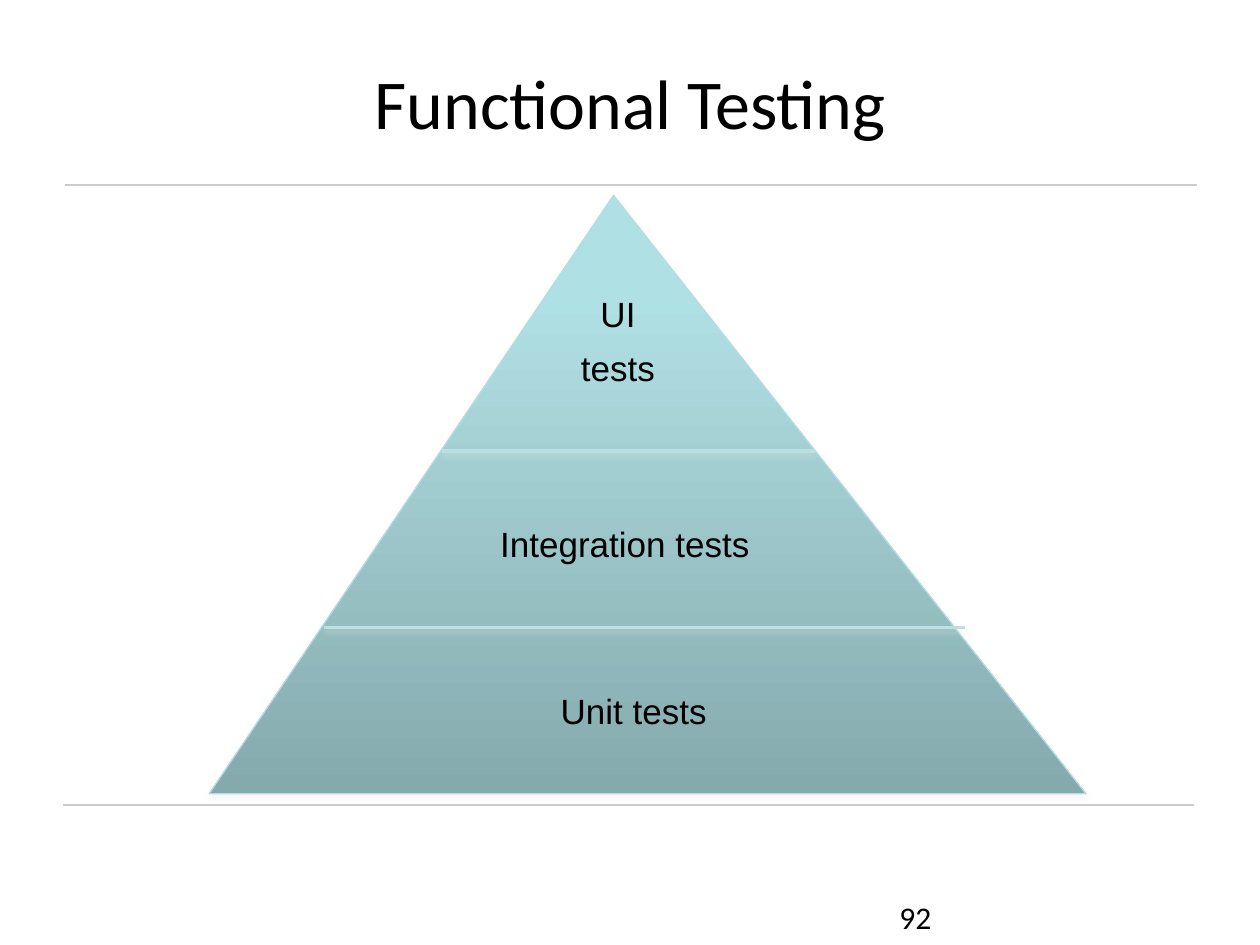
from lxml.etree import SubElement
from pptx import Presentation
from pptx.dml.color import RGBColor
from pptx.enum.shapes import MSO_CONNECTOR as Connector
from pptx.enum.text import MSO_ANCHOR as Anchor, MSO_AUTO_SIZE as AutoSize, PP_ALIGN as Align
from pptx.oxml import parse_xml
from pptx.oxml.ns import nsdecls, qn
from pptx.util import Pt

PX = 9144


def color(hex_string):
    return RGBColor.from_string(hex_string)


def style_outline(shape, line_color, width, shadow_opacity=0):
    shape.line.color.rgb = color(line_color)
    shape.line.width = Pt(width)
    effects = SubElement(shape._element.spPr, qn("a:effectLst"))
    if shadow_opacity:
        effects.append(parse_xml(
            f'<a:outerShdw {nsdecls("a")} blurRad="{Pt(3)}" dist="{Pt(2)}" dir="5400000" rotWithShape="0">'
            f'<a:srgbClr val="EEECE1"><a:alpha val="{shadow_opacity * 1000}"/></a:srgbClr></a:outerShdw>'))


presentation = Presentation()
presentation.slide_width, presentation.slide_height = 1000 * PX, 750 * PX
slide = presentation.slides.add_slide(presentation.slide_layouts[5])
shapes = slide.shapes

for left, right, y in [(50, 948, 639), (52, 950, 147)]:
    rule = shapes.add_connector(Connector.STRAIGHT, left * PX, y * PX, right * PX, y * PX)
    style_outline(rule, "CCCCCC", 1)

title = shapes.title
title_box = {"left": 50, "top": 30, "width": 900, "height": 101}
for name, value in title_box.items():
    setattr(title, name, value * PX)
title.text_frame.text = "Functional Testing"
title.text_frame.vertical_anchor = Anchor.MIDDLE
title_paragraph = title.text_frame.paragraphs[0]
title_paragraph.alignment = Align.CENTER
title_format = {"name": "Calibri", "size": Pt(40)}
for name, value in title_format.items():
    setattr(title_paragraph.font, name, value)
title_paragraph.font.color.rgb = color("000000")

builder = shapes.build_freeform(487, 155, scale=PX)
builder.add_line_segments([(166, 630), (862, 630)], close=True)
pyramid = builder.convert_to_shape()
pyramid.fill.background()
stops = "".join(
    f'<a:gs pos="{position * 1000}"><a:srgbClr val="{stop_color}"/></a:gs>'
    for position, stop_color in [(0, "AFE0E4"), (20, "AFDEE2"), (100, "85AAAD")])
gradient = parse_xml(
    f'<a:gradFill {nsdecls("a")} rotWithShape="1"><a:gsLst>{stops}</a:gsLst>'
    '<a:lin ang="5400000" scaled="0"/></a:gradFill>')
properties = pyramid._element.spPr
properties.replace(properties.find(qn("a:noFill")), gradient)
style_outline(pyramid, "B6DCDF", 0.75, 35)

for left, right, y in [(257, 766, 498), (351, 647, 358)]:
    divider = shapes.add_connector(Connector.STRAIGHT, left * PX, y * PX, right * PX, y * PX)
    style_outline(divider, "BBE0E3", 2, 38)

tier_frame = {"margin_left": 0, "margin_top": 0, "margin_right": 0, "margin_bottom": 0,
              "auto_size": AutoSize.SHAPE_TO_FIT_TEXT}
tier_font = {"name": "Arial", "size": Pt(20)}
number_font = {"name": "Calibri", "size": Pt(18)}
labels = [
    (["92"], (704, 708, 233, 21), True, Align.LEFT, {}, number_font, 1),
    (["UI", "tests"], (445, 230, 91, 74), True, Align.CENTER, tier_frame, tier_font, 1.07),
    (["Integration tests"], (397, 412, 200, 34), False, Align.LEFT, tier_frame, tier_font, 1.07),
    (["Unit tests"], (445, 545, 117, 34), False, Align.LEFT, tier_frame, tier_font, 1.07),
]
for lines, box, wrap, alignment, frame_format, font_format, spacing in labels:
    frame = shapes.add_textbox(*(length * PX for length in box)).text_frame
    frame.word_wrap = wrap
    for name, value in frame_format.items():
        setattr(frame, name, value)
    for index, line in enumerate(lines):
        paragraph = frame.add_paragraph() if index else frame.paragraphs[0]
        paragraph.text = line
        paragraph.alignment = alignment
        paragraph.line_spacing = spacing
        if index:
            paragraph.space_before = Pt(4.8)
        for name, value in font_format.items():
            setattr(paragraph.font, name, value)
        paragraph.font.color.rgb = color("000000")

presentation.save("out.pptx")
